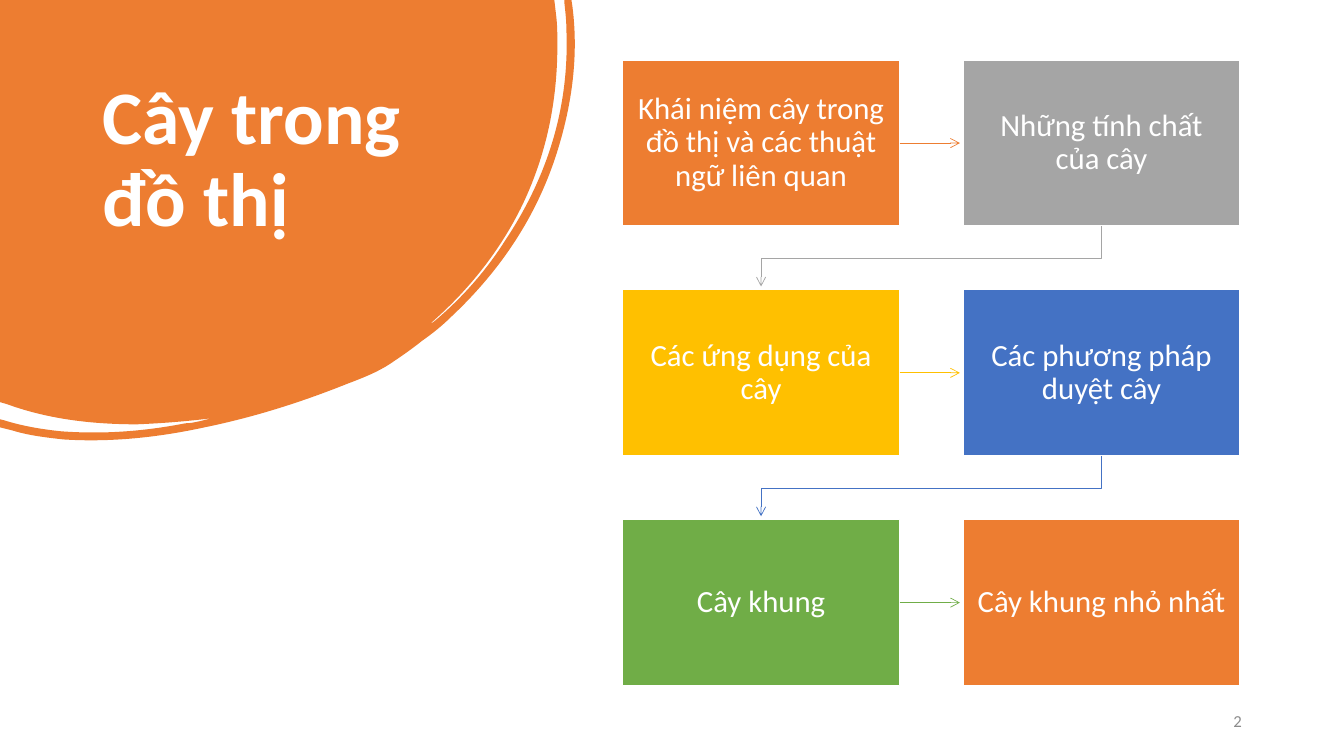
from lxml.etree import SubElement
from pptx import Presentation
from pptx.dml.color import RGBColor
from pptx.enum.shapes import MSO_CONNECTOR as Line, MSO_SHAPE as Preset
from pptx.enum.text import MSO_ANCHOR as Anchor, PP_ALIGN as Align
from pptx.oxml.ns import qn
from pptx.util import Cm, Pt

ORANGE = RGBColor(0xED, 0x7D, 0x31)
GREY = RGBColor(0xA5, 0xA5, 0xA5)
YELLOW = RGBColor(0xFF, 0xC0, 0x00)
BLUE = RGBColor(0x44, 0x72, 0xC4)
GREEN = RGBColor(0x70, 0xAD, 0x47)
WHITE = RGBColor(0xFF, 0xFF, 0xFF)
PALE = RGBColor(0x8C, 0x8C, 0x8C)

# Content
TITLE = "Cây trong đồ thị"
PAGE_NUMBER = "2"
TOPICS = [
    ("Khái niệm cây trong đồ thị và các thuật ngữ liên quan", ORANGE),
    ("Những tính chất của cây", GREY),
    ("Các ứng dụng của cây", YELLOW),
    ("Các phương pháp duyệt cây", BLUE),
    ("Cây khung", GREEN),
    ("Cây khung nhỏ nhất", ORANGE),
]

# Corner blob, from (0, 0): a pair is a line end, six numbers are a Bézier curve
BLOB_UNIT = Cm(0.0254)
BLOB = [
    (550, 0), (552, 17),
    (553, 26, 553, 36, 553, 45),
    (553, 101, 542, 154, 518, 204),
    (496, 249, 465, 288, 427, 321),
    (429, 321, 430, 319, 432, 318),
    (459, 295, 482, 269, 501, 239),
    (543, 176, 565, 107, 562, 30),
    (562, 21, 561, 12, 560, 3),
    (560, 0), (567, 0), (568, 7),
    (574, 54, 568, 102, 553, 150),
    (533, 214, 497, 268, 448, 314),
    (439, 323, 429, 331, 419, 338),
    (409, 346, 399, 353, 387, 361),
    (375, 369, 360, 375, 344, 381),
    (299, 399, 252, 414, 203, 424),
    (157, 434, 110, 439, 63, 436),
    (45, 434, 28, 432, 12, 427),
    (0, 424), (0, 416), (4, 417),
    (23, 423, 42, 426, 61, 428),
    (103, 431, 143, 428, 184, 420),
    (189, 420, 193, 419, 198, 418),
    (202, 417, 206, 416, 210, 415),
    (186, 418, 161, 420, 136, 421),
    (92, 421, 48, 416, 7, 401),
    (0, 399),
]

# Topic grid
COLUMNS = 2
GRID_LEFT, GRID_TOP = Cm(15.69), Cm(1.51)
BOX_WIDTH, BOX_HEIGHT = Cm(6.98), Cm(4.19)
COLUMN_STEP, ROW_STEP = Cm(8.58), Cm(5.79)
ARROW_LENGTH, ELBOW_DROP = Cm(1.52), Cm(0.81)

TITLE_FONT = {"name": "Calibri", "size": Pt(54), "bold": True}
TOPIC_FONT = {"name": "Calibri", "size": Pt(22)}
NUMBER_FONT = {"name": "Calibri", "size": Pt(12)}
TOPIC_FRAME = {"word_wrap": True, "vertical_anchor": Anchor.MIDDLE,
               "margin_left": Cm(0.33), "margin_right": Cm(0.33),
               "margin_top": Cm(0.36), "margin_bottom": Cm(0.36)}


def apply(target, values):
    for name, value in values.items():
        setattr(target, name, value)


def write(shape, text, font, color, frame, para_format):
    apply(shape.text_frame, frame)
    para = shape.text_frame.paragraphs[0]
    apply(para, para_format)
    span = para.add_run()
    span.text = text
    apply(span.font, font)
    span.font.color.rgb = color


def outline(page, points, unit=1.0, close=True):
    builder = page.shapes.build_freeform(*points[0], scale=unit)
    builder.add_line_segments(points[1:], close=close)
    shape = builder.convert_to_shape()
    shape.shadow.inherit = False
    return shape


def add_blob(page):
    blob = outline(page, [(0, 0)] + [segment[-2:] for segment in BLOB], BLOB_UNIT)
    blob.fill.solid()
    blob.fill.fore_color.rgb = ORANGE
    blob.line.fill.background()
    # Bend the straight segments that carry control points
    lines = list(blob.element.iter(qn("a:lnTo")))
    for line, segment in zip(lines, BLOB):
        if len(segment) == 6:
            curve = line.makeelement(qn("a:cubicBezTo"))
            for x, y in zip(segment[::2], segment[1::2]):
                SubElement(curve, qn("a:pt"), x=str(x), y=str(y))
            line.getparent().replace(line, curve)


def style_arrow(arrow, color):
    arrow.line.color.rgb = color
    arrow.line.width = Pt(0.5)
    properties = arrow.element.spPr
    SubElement(properties.find(qn("a:ln")), qn("a:tailEnd"), type="arrow")
    if properties.find(qn("a:effectLst")) is None:
        SubElement(properties, qn("a:effectLst"))


def add_arrow_right(page, x, y, color):
    arrow = page.shapes.add_connector(Line.STRAIGHT, x, y, x + ARROW_LENGTH, y)
    style_arrow(arrow, color)


def add_arrow_to_next_row(page, x, y, color):
    turn, end_x = y + ELBOW_DROP, x - COLUMN_STEP
    arrow = outline(page, [(x, y), (x, turn), (end_x, turn),
                           (end_x, y + ARROW_LENGTH)], close=False)
    arrow.fill.background()
    style_arrow(arrow, color)


def main():
    deck = Presentation()
    deck.slide_width, deck.slide_height = Cm(33.87), Cm(19.05)
    page = deck.slides.add_slide(deck.slide_layouts[6])

    # Corner blob and title
    add_blob(page)
    title = page.shapes.add_textbox(Cm(2.34), Cm(1.88), Cm(8.94), Cm(5.64))
    write(title, TITLE, TITLE_FONT, WHITE, {"word_wrap": True}, {"line_spacing": 0.9})

    # Page number
    number = page.shapes.add_textbox(Cm(23.93), Cm(17.65), Cm(7.62), Cm(1.02))
    write(number, PAGE_NUMBER, NUMBER_FONT, PALE,
          {"word_wrap": True, "vertical_anchor": Anchor.MIDDLE},
          {"alignment": Align.RIGHT})

    # Topics, each with an arrow to the next
    for index, (text, color) in enumerate(TOPICS):
        row, column = divmod(index, COLUMNS)
        left, top = GRID_LEFT + column * COLUMN_STEP, GRID_TOP + row * ROW_STEP
        box = page.shapes.add_shape(Preset.RECTANGLE, left, top, BOX_WIDTH, BOX_HEIGHT)
        box.shadow.inherit = False
        box.fill.solid()
        box.fill.fore_color.rgb = color
        box.line.color.rgb = WHITE
        box.line.width = Pt(1)
        write(box, text, TOPIC_FONT, WHITE, TOPIC_FRAME,
              {"alignment": Align.CENTER, "line_spacing": 0.9})
        if index == len(TOPICS) - 1:
            continue
        if column < COLUMNS - 1:
            add_arrow_right(page, left + BOX_WIDTH, top + BOX_HEIGHT // 2, color)
        else:
            add_arrow_to_next_row(page, left + BOX_WIDTH // 2, top + BOX_HEIGHT, color)

    deck.save("out.pptx")


if __name__ == "__main__":
    main()
